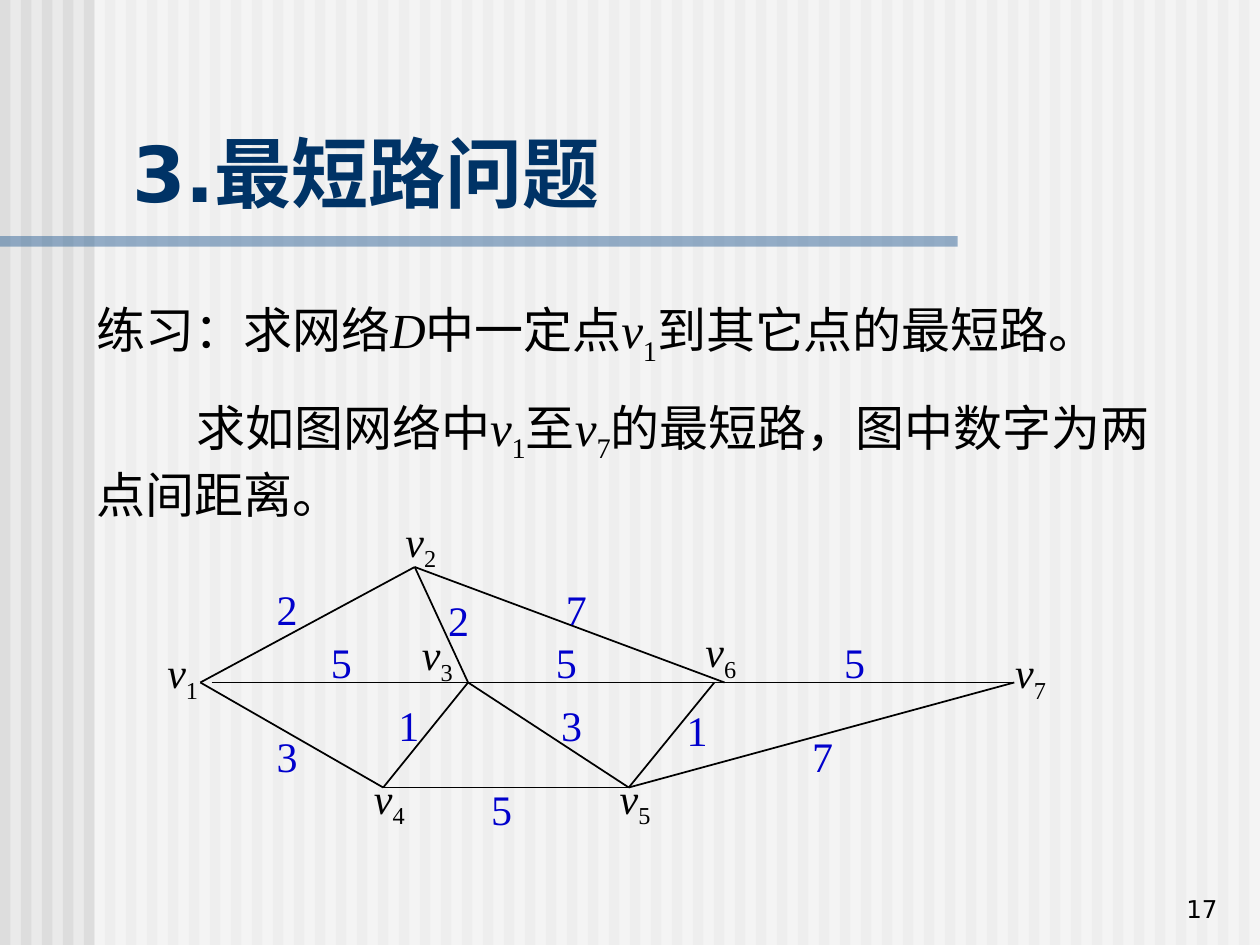
from lxml.etree import SubElement
from pptx import Presentation
from pptx.dml.color import RGBColor
from pptx.enum.shapes import MSO_CONNECTOR as Connector, MSO_SHAPE as Shape
from pptx.enum.text import MSO_ANCHOR as Anchor, MSO_AUTO_SIZE as AutoSize, PP_ALIGN as Align
from pptx.oxml.ns import qn
from pptx.util import Pt

COLORS = {
    "background": "EAEAEA", "stripe": "DDDDDD", "veil": "FFFFFF", "rule": "336699",
    "title": "003366", "text": "000000", "distance": "0000CC",
}
SANS, SERIF = "DejaVu Sans", "Times New Roman"
STRIPE_PITCH, STRIPE_WIDTH = 12, 6

BODY = [
    [("练习：求网络", ""), ("D", "italic"), ("中一定点", ""), ("v", "italic"), ("1", "sub"),
     ("到其它点的最短路。", "")],
    [("求如图网络中", ""), ("v", "italic"), ("1", "sub"), ("至", ""), ("v", "italic"),
     ("7", "sub"), ("的最短路，图中数字为两点间距离。", "")],
]

# Vertices: position of the point, position of its label box
POINTS = {1: (114.5, 390), 2: (237, 324), 3: (267.5, 390), 4: (219, 450),
          5: (359.3, 450), 6: (414, 390), 7: (579.6, 390)}
LABELS = {1: (88.5, 366), 2: (224.6, 291), 3: (234, 355.7), 4: (206.6, 437.8),
          5: (347, 437.8), 6: (396, 354.2), 7: (573, 366)}
AXIS_START, V6_LOWER = (121, 390), (408.2, 390)

# Sloping edges and the bottom edge, by vertex
EDGES = [(1, 2), (1, 4), (4, 3), (2, 3), (2, 6), (4, 5), (3, 5), (5, 7)]

# Distance, left, top
DISTANCES = [
    ("2", 151, 330), ("5", 182, 360), ("5", 310.5, 360), ("2", 249, 336),
    ("3", 313.5, 396), ("3", 151, 414), ("5", 273.5, 444), ("7", 316.3, 330),
    ("5", 475.3, 360), ("7", 457, 414), ("1", 220.5, 396), ("1", 385.3, 399),
]


def color(name):
    return RGBColor.from_string(COLORS[name])


def add_bar(page, left, top, width, height, fill, alpha=None):
    bar = page.shapes.add_shape(Shape.RECTANGLE, Pt(left), Pt(top), Pt(width), Pt(height))
    bar.shadow.inherit = False
    bar.line.fill.background()
    bar.fill.solid()
    bar.fill.fore_color.rgb = color(fill)
    if alpha is not None:
        srgb = bar.fill._xPr.find(".//" + qn("a:srgbClr"))
        SubElement(srgb, qn("a:alpha")).set("val", str(alpha * 1000))


def add_text(page, left, top, width, height, paragraphs, size, font=SERIF, fill="text",
             bold=False, anchor=Anchor.TOP, align=Align.LEFT):
    """Add a text box; each paragraph is a list of (text, style) spans."""
    box = page.shapes.add_textbox(Pt(left), Pt(top), Pt(width), Pt(height))
    frame = box.text_frame
    frame.word_wrap = True
    frame.auto_size = AutoSize.NONE
    frame.vertical_anchor = anchor
    for index, spans in enumerate(paragraphs):
        para = frame.add_paragraph() if index else frame.paragraphs[0]
        para.alignment = align
        for text, style in spans:
            span = para.add_run()
            span.text = text
            span.font.name = font
            span.font.size = Pt(size)
            span.font.bold = bold
            span.font.italic = style == "italic"
            span.font.color.rgb = color(fill)
            if style == "sub":
                span._r.get_or_add_rPr().set("baseline", "-25000")
    return box


def add_edge(page, start, end):
    edge = page.shapes.add_connector(Connector.STRAIGHT, *map(Pt, start + end))
    edge.line.color.rgb = color("text")
    edge.line.width = Pt(1)
    SubElement(edge._element.spPr, qn("a:effectLst"))


def add_background(page):
    page.background.fill.solid()
    page.background.fill.fore_color.rgb = color("background")
    for left in range(0, 720, STRIPE_PITCH):
        add_bar(page, left, 0, STRIPE_WIDTH, 540, "stripe")
    add_bar(page, 54, 0, 666, 540, "veil", alpha=50)
    add_bar(page, 0, 135, 547.2, 6, "rule", alpha=50)


def add_body(page):
    box = add_text(page, 48.2, 167.8, 635.8, 134.6, BODY, 28)
    second = box.text_frame.paragraphs[1]
    second.space_before = Pt(17.5)
    second._p.get_or_add_pPr().set("indent", str(Pt(57)))


def add_network(page):
    for number, (left, top) in LABELS.items():
        add_text(page, left, top, 42.5, 40.3, [[("v", "italic"), (str(number), "sub")]], 24)
    add_edge(page, AXIS_START, POINTS[7])
    for start, end in EDGES:
        add_edge(page, POINTS[start], POINTS[end])
    add_edge(page, V6_LOWER, POINTS[5])
    for distance, left, top in DISTANCES:
        add_text(page, left, top, 26.5, 36, [[(distance, "")]], 24, fill="distance")


def main():
    deck = Presentation()
    deck.slide_width, deck.slide_height = Pt(720), Pt(540)
    page = deck.slides.add_slide(deck.slide_layouts[6])

    add_background(page)
    # Page number
    add_text(page, 553, 495.4, 149.8, 36, [[("17", "")]], 14, font=SANS,
             anchor=Anchor.BOTTOM, align=Align.RIGHT)
    add_body(page)
    add_network(page)
    # Title
    add_text(page, 68.4, 15, 643, 113, [[("3.最短路问题", "")]], 44, font=SANS,
             fill="title", bold=True, anchor=Anchor.BOTTOM)

    deck.save("out.pptx")


if __name__ == "__main__":
    main()
